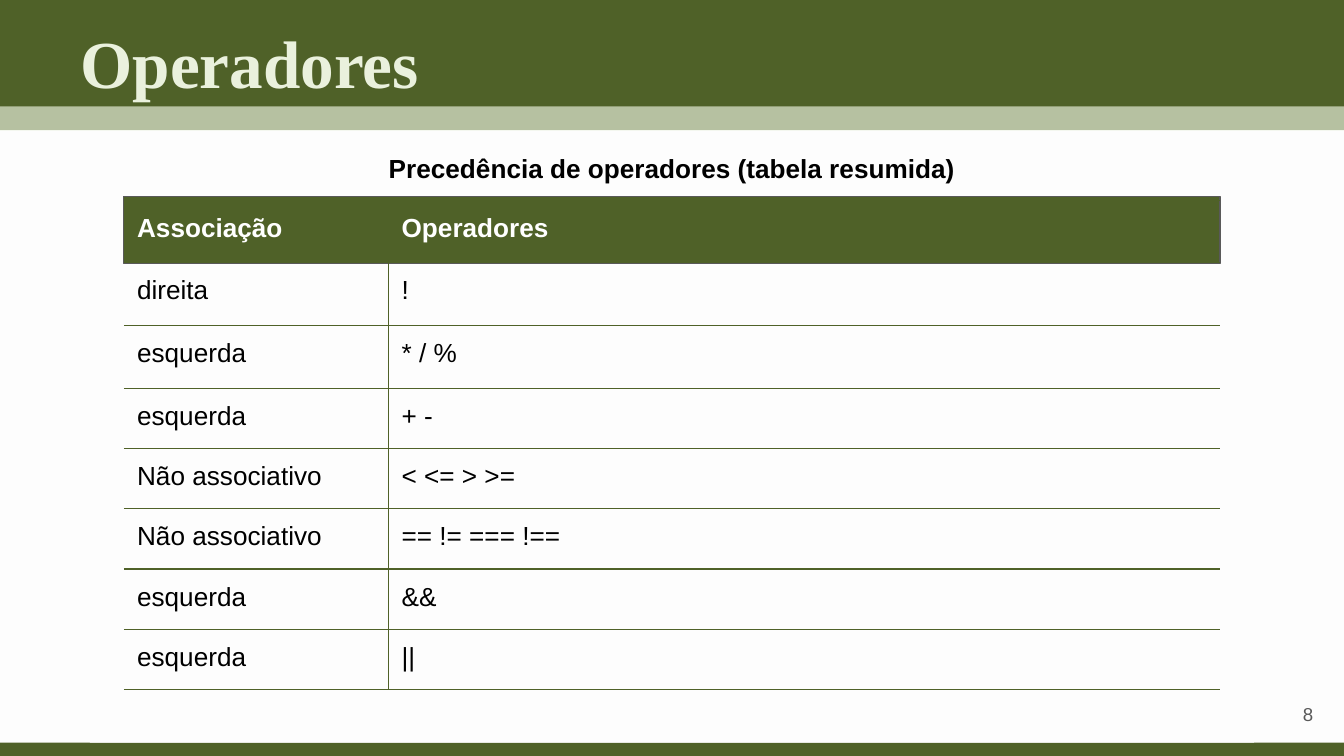
from lxml import etree
from pptx import Presentation, util as u
from pptx.dml.color import RGBColor
from pptx.enum import shapes, text
from pptx.oxml.ns import qn

TITLE = "Operadores"
PAGE = "8"
CAPTION = "Precedência de operadores (tabela resumida)"
ROWS = [
    ("Associação", "Operadores"),
    ("direita", "!"),
    ("esquerda", "* / %"),
    ("esquerda", "+ -"),
    ("Não associativo", "< <= > >="),
    ("Não associativo", "== != === !=="),
    ("esquerda", "&&"),
    ("esquerda", "||"),
]
COLS = (5.0, 15.72)
HIGH = (1.17, 1.17) + (1.19,) * 2 + (1.14,) * 5
COLOR = {"green": "4F6128", "pale": "EAF1DD", "paper": "FDFDFD",
         "gray": "595959", "black": "000000", "white": "FFFFFF"}
WIDE, TALL = 25.4, 14.29
LEFT, TOP = 2.34, 2.62
PAD = 0.25


def rgb(name):
    return RGBColor.from_string(COLOR[name])


def style(para, size, color, bold=False, font="Arial", align="LEFT"):
    para.alignment = getattr(text.PP_ALIGN, align)
    for run in para.runs:
        run.font.size, run.font.name = u.Pt(size), font
        run.font.bold, run.font.color.rgb = bold, rgb(color)


def box(slide, left, top, width, height, color, line=None):
    rect = slide.shapes.add_shape(shapes.MSO_SHAPE.RECTANGLE,
                                  *map(u.Cm, (left, top, width, height)))
    rect.shadow.inherit = False
    rect.fill.solid()
    rect.fill.fore_color.rgb = rgb(color)
    if line:
        rect.line.color.rgb, rect.line.width = rgb(line), u.Pt(0.75)
    else:
        rect.line.fill.background()
    return rect


def inset(item, x=PAD, y=PAD):
    item.margin_left = item.margin_right = u.Cm(x)
    item.margin_top = item.margin_bottom = u.Cm(y)


def border(cell, sides):
    """Draw the named sides (L, R, T, B) and clear the others."""
    props = cell._tc.get_or_add_tcPr()
    for side in "LRTB":
        line = etree.SubElement(props, qn(f"a:ln{side}"), w=str(u.Pt(0.75)))
        if side in sides:
            fill = etree.SubElement(line, qn("a:solidFill"))
            etree.SubElement(fill, qn("a:srgbClr"), val=COLOR["green"])
        else:
            etree.SubElement(line, qn("a:noFill"))


def put(cell, words, color="black", bold=False, align="LEFT"):
    cell.text_frame.text = words
    style(cell.text_frame.paragraphs[0], 14, color, bold, align=align)


def head(slide):
    title = slide.shapes.title
    title.left, title.top = u.Cm(0), u.Cm(0.28)
    title.width, title.height = u.Cm(WIDE), u.Cm(1.8)
    frame = title.text_frame
    frame.text = TITLE
    frame.auto_size = text.MSO_AUTO_SIZE.NONE
    frame.vertical_anchor = text.MSO_ANCHOR.TOP
    inset(frame, y=0.13)
    frame.margin_left = u.Cm(1.52)
    style(frame.paragraphs[0], 36, "pale", True, "Times New Roman")


def number(slide):
    note = slide.shapes.add_textbox(*map(u.Cm, (23.55, 12.95, 1.52, 1.09)))
    frame = note.text_frame
    frame.text, frame.word_wrap = PAGE, True
    frame.vertical_anchor = text.MSO_ANCHOR.MIDDLE
    inset(frame)
    style(frame.paragraphs[0], 10, "gray", align="RIGHT")


def grid(slide):
    table = slide.shapes.add_table(
        len(HIGH), len(COLS),
        *map(u.Cm, (LEFT, TOP, sum(COLS), sum(HIGH)))).table
    table.first_row = table.horz_banding = False
    for col, width in zip(table.columns, COLS):
        col.width = u.Cm(width)
    for row, height in zip(table.rows, HIGH):
        row.height = u.Cm(height)
    for r in range(len(HIGH)):
        for c in range(len(COLS)):
            cell = table.cell(r, c)
            inset(cell)
            border(cell, "B" if r == 0 else "TB" + "RL"[c])
            cell.fill.background()
    first = table.cell(0, 0)
    first.merge(table.cell(0, 1))
    first.vertical_anchor = text.MSO_ANCHOR.MIDDLE
    put(first, CAPTION, bold=True, align="CENTER")
    for r, row in enumerate(ROWS, 1):
        for c, words in enumerate(row):
            put(table.cell(r, c), words, "white" if r == 1 else "black", r == 1)


def main():
    deck = Presentation()
    deck.slide_width, deck.slide_height = u.Cm(WIDE), u.Cm(TALL)
    slide = deck.slides.add_slide(deck.slide_layouts[5])
    slide.background.fill.solid()
    slide.background.fill.fore_color.rgb = rgb("green")
    head(slide)
    box(slide, 0, 2.46, WIDE, 11.58, "paper")
    number(slide)
    # The inner panel stops above the page number's column.
    box(slide, 1.7, 2.46, 22.0, 11.58, "paper")
    band = box(slide, 0, 2.01, WIDE, 0.46, "pale")
    tint = band.fill._xPr.find(".//" + qn("a:srgbClr"))
    etree.SubElement(tint, qn("a:alpha"), val="67000")
    box(slide, LEFT, 3.71, sum(COLS), 1.27, "green", "gray")
    grid(slide)
    deck.save("out.pptx")


if __name__ == "__main__":
    main()
